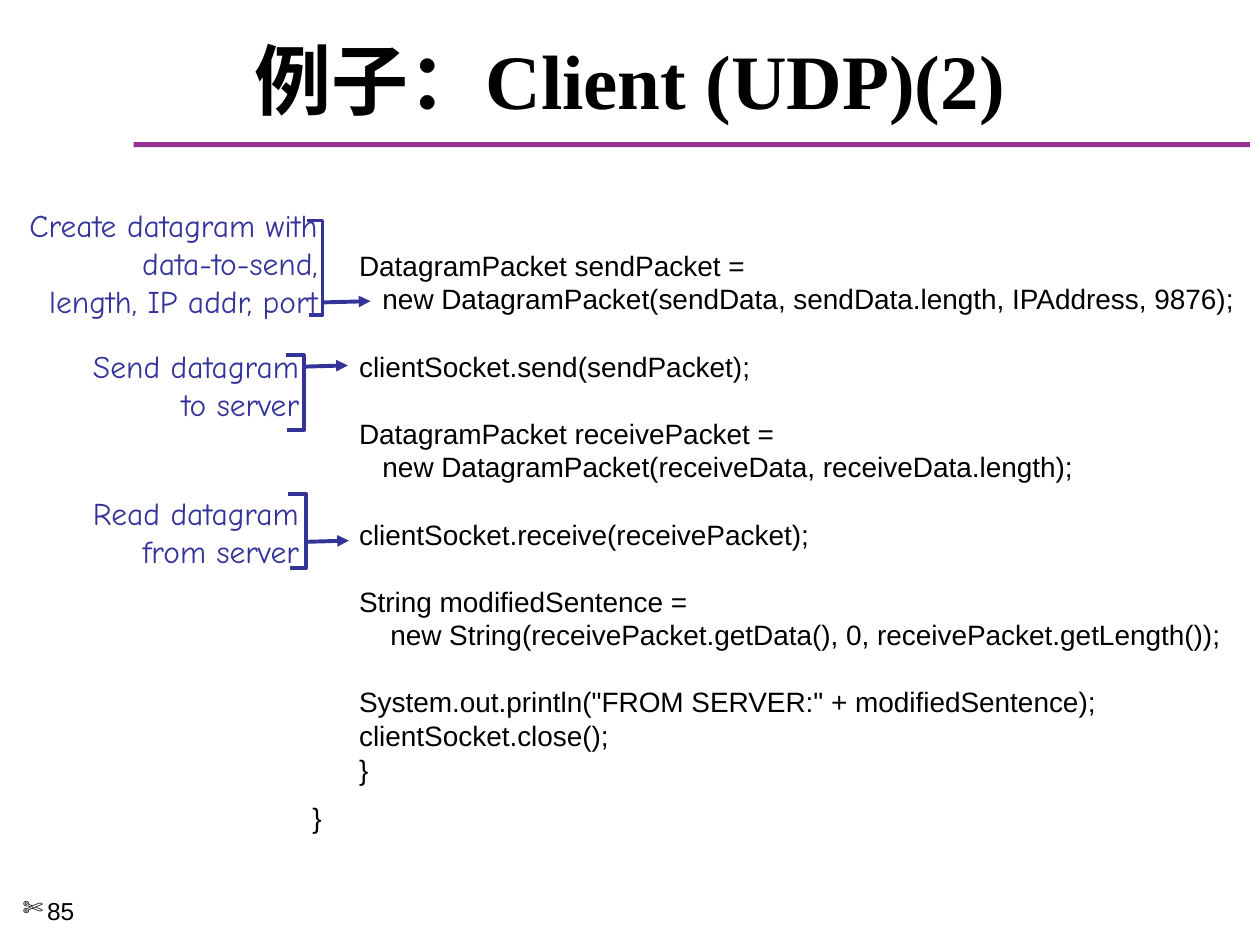
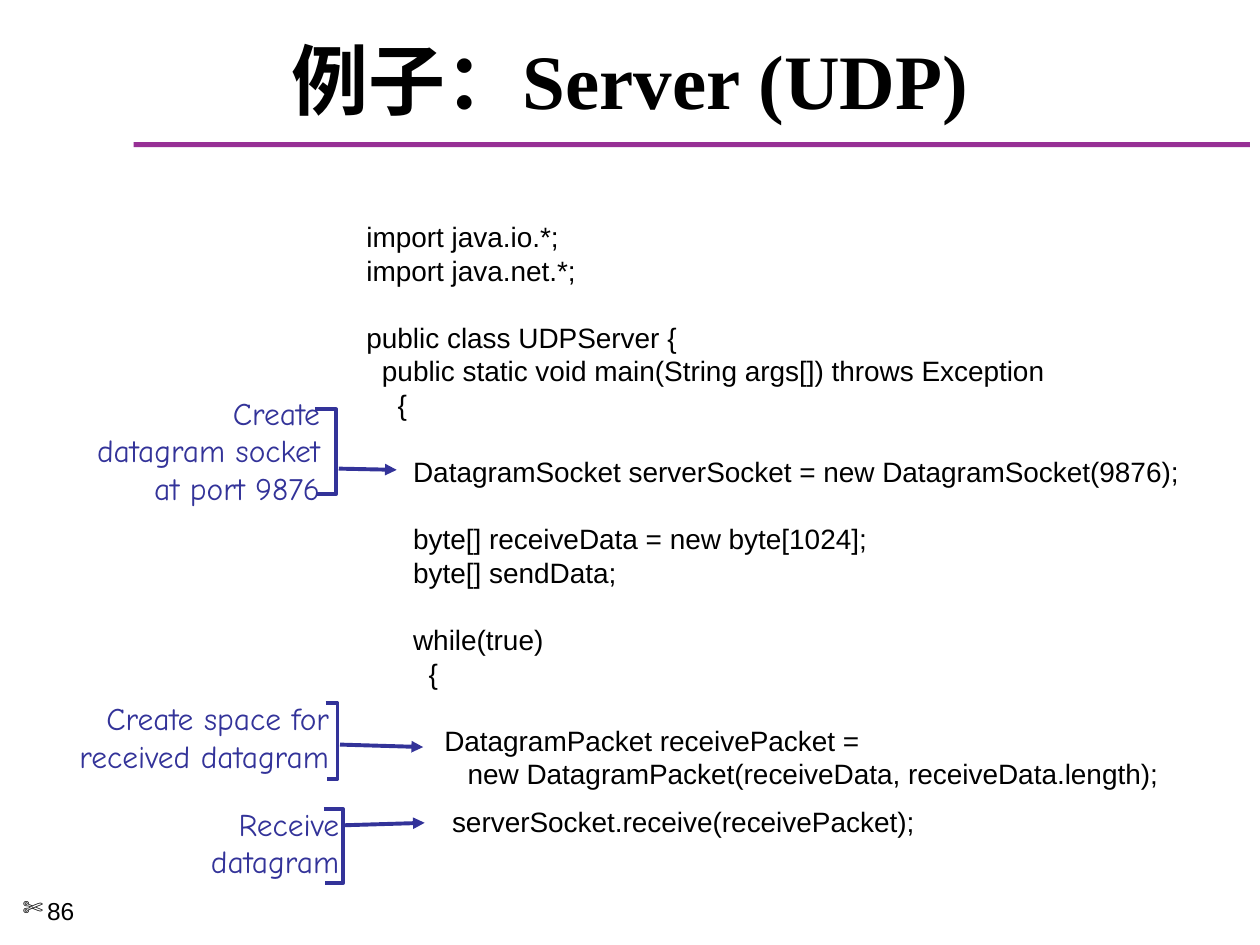
from dataclasses import dataclass

from lxml.etree import SubElement
from pptx import Presentation
from pptx.dml.color import RGBColor
from pptx.enum.shapes import MSO_CONNECTOR, MSO_SHAPE
from pptx.enum.text import MSO_ANCHOR, MSO_AUTO_SIZE, PP_ALIGN
from pptx.oxml.ns import qn
from pptx.util import Pt

BLACK = RGBColor(0x00, 0x00, 0x00)
PURPLE = RGBColor(0x97, 0x30, 0x95)
INDIGO = RGBColor(0x33, 0x33, 0x99)

LINE_RATIO = 1.2
CODE_SIZE = 16
SPACE_WIDTH = 4.45
LAST_LINE_GAP = 8.2
BRACKET_LIP = 0.7


@dataclass
class Box:
    left: float
    top: float
    width: float
    height: float

    @property
    def right(self):
        return self.left + self.width

    def in_points(self):
        return Pt(self.left), Pt(self.top), Pt(self.width), Pt(self.height)


@dataclass
class Bracket:
    shift: float
    drop: float
    width: float
    height: float


@dataclass
class Arrow:
    gap: float
    drop: float
    length: float
    rise: float


TITLE_BOX = Box(12, 18, 696, 54)
RULE_BOX = Box(76.3, 81.2, 638, 2.9)
NUMBER_BOX = Box(5.8, 508.3, 77.8, 31.7)

CLIENT_CODE = [
    [(6, "DatagramPacket sendPacket ="),
     (9, "new DatagramPacket(sendData, sendData.length, IPAddress, 9876);")],
    [(6, "clientSocket.send(sendPacket);")],
    [(6, "DatagramPacket receivePacket ="),
     (9, "new DatagramPacket(receiveData, receiveData.length);")],
    [(6, "clientSocket.receive(receivePacket);")],
    [(6, "String modifiedSentence ="),
     (10, "new String(receivePacket.getData(), 0, receivePacket.getLength());")],
    [(6, 'System.out.println("FROM SERVER:" + modifiedSentence);'),
     (6, "clientSocket.close();"),
     (6, "}"),
     (0, "}")],
]
CLIENT_NOTES = [
    (Box(0, 113.8, 188.6, 72.7),
     ["Create datagram with data-to-send,", "length, IP addr, port"],
     Bracket(-4.3, 12.2, 8.6, 54), Arrow(0, 59, 27.4, -0.7)),
    (Box(35.3, 194.4, 142.6, 51.1), ["Send datagram", "to server"],
     Bracket(-4.3, 8.6, 10.1, 43), Arrow(0.7, 15.1, 24.5, -0.7)),
    (Box(36.7, 278.6, 141.1, 51.1), ["Read datagram", "from server"],
     Bracket(-2.9, 3.6, 10.1, 42.5), Arrow(0.7, 31, 23.8, -0.7)),
]

SERVER_CODE = [
    [(0, "import java.io.*;"),
     (0, "import java.net.*;")],
    [(0, "public class UDPServer {"),
     (2, "public static void main(String args[]) throws Exception"),
     (4, "{")],
    [(6, "DatagramSocket serverSocket = new DatagramSocket(9876);")],
    [(6, "byte[] receiveData = new byte[1024];"),
     (6, "byte[] sendData;")],
    [(6, "while(true)"),
     (8, "{")],
    [(10, "DatagramPacket receivePacket ="),
     (13, "new DatagramPacket(receiveData, receiveData.length);"),
     (11, "serverSocket.receive(receivePacket);")],
]
SERVER_NOTES = [
    (Box(33.8, 221, 156.2, 72.7), ["Create", "datagram socket", "at port 9876"],
     Bracket(2.2, 13, 12.2, 48.2), Arrow(1.4, 46.8, 33.1, 0.7)),
    (Box(23, 395.3, 172.1, 51.1), ["Create space for", "received datagram"],
     Bracket(-2.2, 6.5, 6.8, 43.2), Arrow(1.4, 30.2, 47.5, 1.4)),
    (Box(104.4, 455.8, 96.5, 51.1), ["Receive", "datagram"],
     Bracket(-5, 6.5, 10.8, 42.5), Arrow(0, 15.8, 46.8, -1.4)),
]


def set_font(paragraph, name, size, color, bold=False):
    font = paragraph.font
    font.name, font.size, font.bold = name, Pt(size), bold
    font.color.rgb = color


def add_lines(slide, box, lines, name, size, color, anchor=MSO_ANCHOR.MIDDLE):
    frame = slide.shapes.add_textbox(*box.in_points()).text_frame
    frame.word_wrap = True
    frame.vertical_anchor = anchor
    frame.text = "\n".join(lines)
    for paragraph in frame.paragraphs:
        set_font(paragraph, name, size, color)
        paragraph.line_spacing = Pt(size * LINE_RATIO)
    return frame.paragraphs


def add_heading(slide, heading):
    title = slide.shapes.title
    title.left, title.top, title.width, title.height = TITLE_BOX.in_points()
    frame = title.text_frame
    frame.text = heading
    frame.auto_size = MSO_AUTO_SIZE.NONE
    frame.vertical_anchor = MSO_ANCHOR.MIDDLE
    frame.paragraphs[0].alignment = PP_ALIGN.CENTER
    set_font(frame.paragraphs[0], "Times New Roman", 44, BLACK, bold=True)

    rule = slide.shapes.add_shape(MSO_SHAPE.RECTANGLE, *RULE_BOX.in_points())
    rule.shadow.inherit = False
    rule.fill.solid()
    rule.fill.fore_color.rgb = PURPLE
    rule.line.fill.background()


def add_page_number(slide, number):
    paragraph = add_lines(slide, NUMBER_BOX, [str(number)], "Arial", 14, BLACK,
                          MSO_ANCHOR.TOP)[0]
    properties = paragraph._p.get_or_add_pPr()
    properties.set("marL", str(Pt(14)))
    properties.set("indent", str(-Pt(14)))
    bullet = SubElement(properties, qn("a:buChar"))
    bullet.set("char", "✄")
    properties.find(qn("a:defRPr")).addprevious(bullet)


def add_code(slide, box, blocks):
    lines = [line for block in blocks for line in block]
    paragraphs = add_lines(slide, box, [text for _, text in lines],
                           "Arial", CODE_SIZE, BLACK)
    for paragraph, (spaces, _) in zip(paragraphs, lines):
        properties = paragraph._p.get_or_add_pPr()
        properties.set("marL", str(Pt(spaces * SPACE_WIDTH)))
        properties.set("indent", "0")
    block_start = 0
    for block in blocks[:-1]:
        block_start += len(block)
        paragraphs[block_start].space_before = Pt(CODE_SIZE * LINE_RATIO)
    paragraphs[-1].space_before = Pt(LAST_LINE_GAP)


def style_line(line):
    line.color.rgb = INDIGO
    line.width = Pt(2.25)


def add_note(slide, box, lines, bracket, arrow):
    for paragraph in add_lines(slide, box, lines, "Comic Neue", 18, INDIGO):
        paragraph.alignment = PP_ALIGN.RIGHT

    edge = box.right + bracket.shift
    left = edge - bracket.width
    top = box.top + bracket.drop
    bottom = top + bracket.height
    outline = slide.shapes.build_freeform(Pt(left), Pt(top))
    outline.add_line_segments(
        [(Pt(edge), Pt(top)), (Pt(edge), Pt(bottom)),
         (Pt(left + BRACKET_LIP), Pt(bottom))], close=False)
    bracket_line = outline.convert_to_shape()
    bracket_line.shadow.inherit = False
    bracket_line.fill.background()
    style_line(bracket_line.line)

    start_x, start_y = edge + arrow.gap, box.top + arrow.drop
    pointer = slide.shapes.add_connector(
        MSO_CONNECTOR.STRAIGHT, Pt(start_x), Pt(start_y),
        Pt(start_x + arrow.length), Pt(start_y + arrow.rise))
    style_line(pointer.line)
    SubElement(pointer.line._get_or_add_ln(), qn("a:tailEnd")).set("type", "triangle")
    SubElement(pointer._element.spPr, qn("a:effectLst"))


def add_code_slide(prs, heading, number, code_box, code, notes):
    slide = prs.slides.add_slide(prs.slide_layouts[5])
    add_heading(slide, heading)
    add_page_number(slide, number)
    add_code(slide, code_box, code)
    for note in notes:
        add_note(slide, *note)


def main():
    prs = Presentation()
    prs.slide_width, prs.slide_height = Pt(720), Pt(540)
    add_code_slide(prs, "例子：Client (UDP)(2)", 85,
                   Box(171.4, 136, 553, 346.3), CLIENT_CODE, CLIENT_NOTES)
    add_code_slide(prs, "例子：Server (UDP)", 86,
                   Box(202.3, 119.4, 489.6, 365.8), SERVER_CODE, SERVER_NOTES)
    prs.save("out.pptx")


if __name__ == "__main__":
    main()
